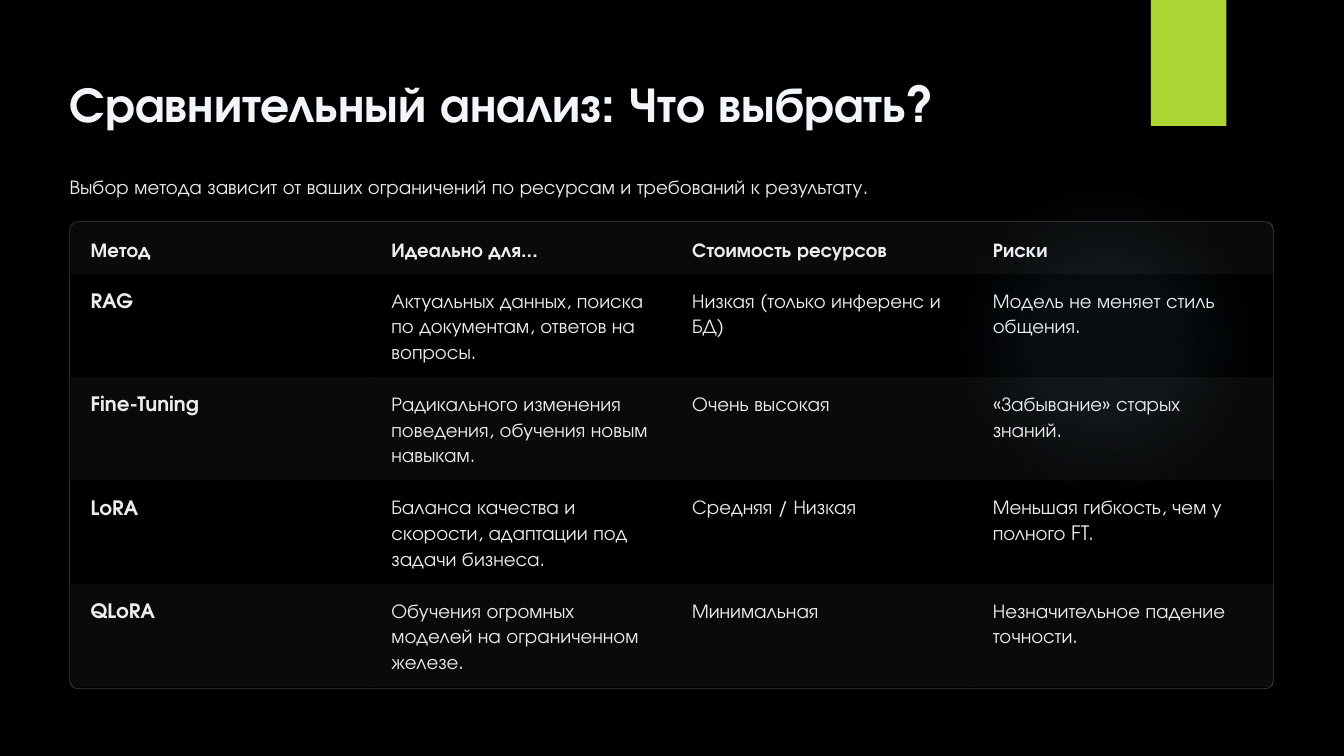
from lxml import etree
from pptx import Presentation
from pptx import util as u
from pptx.dml.color import RGBColor
from pptx.enum import shapes, text
from pptx.oxml import parse_xml
from pptx.oxml.ns import nsdecls, qn

FONT = "TeX Gyre Adventor"
PALE = "EBEDF0"
PLAIN = "{2D5ABB26-0587-4C30-8999-92F81FD0307C}"
HEAD = ["Метод", "Идеально для...", "Стоимость ресурсов", "Риски"]
ROWS = [
    ["RAG", "Актуальных данных, поиска по документам, ответов на вопросы.",
     "Низкая (только инференс и БД)", "Модель не меняет стиль общения."],
    ["Fine-Tuning", "Радикального изменения поведения, обучения новым навыкам.",
     "Очень высокая", "«Забывание» старых знаний."],
    ["LoRA", "Баланса качества и скорости, адаптации под задачи бизнеса.",
     "Средняя / Низкая", "Меньшая гибкость, чем у полного FT."],
    ["QLoRA", "Обучения огромных моделей на ограниченном железе.",
     "Минимальная", "Незначительное падение точности."],
]


def color(code):
    return RGBColor.from_string(code)


def fade(node, share):
    for tint in node.iter(qn("a:srgbClr")):
        etree.SubElement(tint, qn("a:alpha")).set("val", str(share * 1000))


def shape(slide, kind, box):
    item = slide.shapes.add_shape(kind, *map(u.Inches, box))
    item.shadow.inherit = False
    item.fill.background()
    item.line.fill.background()
    return item


def write(frame, words, size, lead, tint, bold):
    para = frame.paragraphs[0]
    para.line_spacing = u.Pt(lead)
    run = para.add_run()
    run.text = words
    run.font.name = FONT
    run.font.size = u.Pt(size)
    run.font.bold = bold
    run.font.color.rgb = color(tint)


def label(slide, box, words, size, lead, tint, bold=False):
    frame = slide.shapes.add_textbox(*map(u.Inches, box)).text_frame
    frame.margin_left = frame.margin_right = 0
    frame.margin_top = frame.margin_bottom = 0
    frame.word_wrap = False
    write(frame, words, size, lead, tint, bold)


def glow(slide, box):
    disc = shape(slide, shapes.MSO_SHAPE.OVAL, box)
    stops = "".join(
        f'<a:gs pos="{pos * 1000}"><a:srgbClr val="7AC4F0">'
        f'<a:alpha val="{share * 1000}"/></a:srgbClr></a:gs>'
        for pos, share in [(0, 7), (36, 6), (69, 0)])
    grad = parse_xml(
        f'<a:gradFill {nsdecls("a")}><a:gsLst>{stops}</a:gsLst>'
        '<a:path path="circle"><a:fillToRect l="50000" t="50000" '
        'r="50000" b="50000"/></a:path></a:gradFill>')
    props = disc.fill._xPr
    props.replace(props.find(qn("a:noFill")), grad)


def ribbon(slide, box):
    flag = shape(slide, shapes.MSO_SHAPE.RECTANGLE, box)
    flag.fill.solid()
    flag.fill.fore_color.rgb = color("ACD433")


def header(slide, box):
    left, top, width, height = box
    label(slide, (left, top, 11.75, 0.77),
          "Сравнительный анализ: Что выбрать?", 42.5, 55.5, "F2F5FA", True)
    label(slide, (left, top + height - 0.31, width, 0.31),
          "Выбор метода зависит от ваших ограничений по ресурсам "
          "и требований к результату.", 17, 22, PALE)


def fill_cell(cell, words, bold, back):
    cell.margin_left = cell.margin_right = u.Inches(0.24)
    cell.margin_top = cell.margin_bottom = u.Inches(0.15)
    cell.vertical_anchor = text.MSO_ANCHOR.TOP
    write(cell.text_frame, words, 17, 22, PALE, bold)
    cell.fill.solid()
    cell.fill.fore_color.rgb = color(back)
    props = cell._tc.tcPr
    fade(props, 4)
    for spot, side in enumerate("LRTB"):
        edge = parse_xml(f'<a:ln{side} {nsdecls("a")} w="0"><a:noFill/></a:ln{side}>')
        props.insert(spot, edge)


def matrix(slide, box):
    left, top, width, height = box
    frame = shape(slide, shapes.MSO_SHAPE.ROUNDED_RECTANGLE, box)
    frame.adjustments[0] = 0.018
    frame.line.color.rgb = color("FFFFFF")
    frame.line.width = u.Pt(0.6)
    fade(frame.line._ln, 24)

    data = [HEAD] + ROWS
    place = (left + 0.01, top + 0.01, width - 0.01, height - 0.03)
    table = slide.shapes.add_table(
        len(data), len(HEAD), *map(u.Inches, place)).table
    table.first_row = table.horz_banding = False
    table._tbl.tblPr.find(qn("a:tableStyleId")).text = PLAIN
    for col in table.columns:
        col.width = u.Inches(3.58)
    for row, line in enumerate(data):
        table.rows[row].height = u.Inches(1.23 if row else 0.61)
        back = "000000" if row % 2 else "FFFFFF"
        for col, words in enumerate(line):
            fill_cell(table.cell(row, col), words, row == 0 or col == 0, back)


def main():
    deck = Presentation()
    deck.slide_width = u.Inches(16)
    deck.slide_height = u.Inches(9)
    slide = deck.slides.add_slide(deck.slide_layouts[6])
    slide.background.fill.solid()
    slide.background.fill.fore_color.rgb = color("000000")
    glow(slide, (11.3, 2.2, 3.7, 3.7))
    ribbon(slide, (13.7, 0, 0.9, 1.5))
    header(slide, (0.83, 0.81, 14.33, 1.56))
    matrix(slide, (0.83, 2.64, 14.33, 5.56))
    deck.save("out.pptx")


if __name__ == "__main__":
    main()
